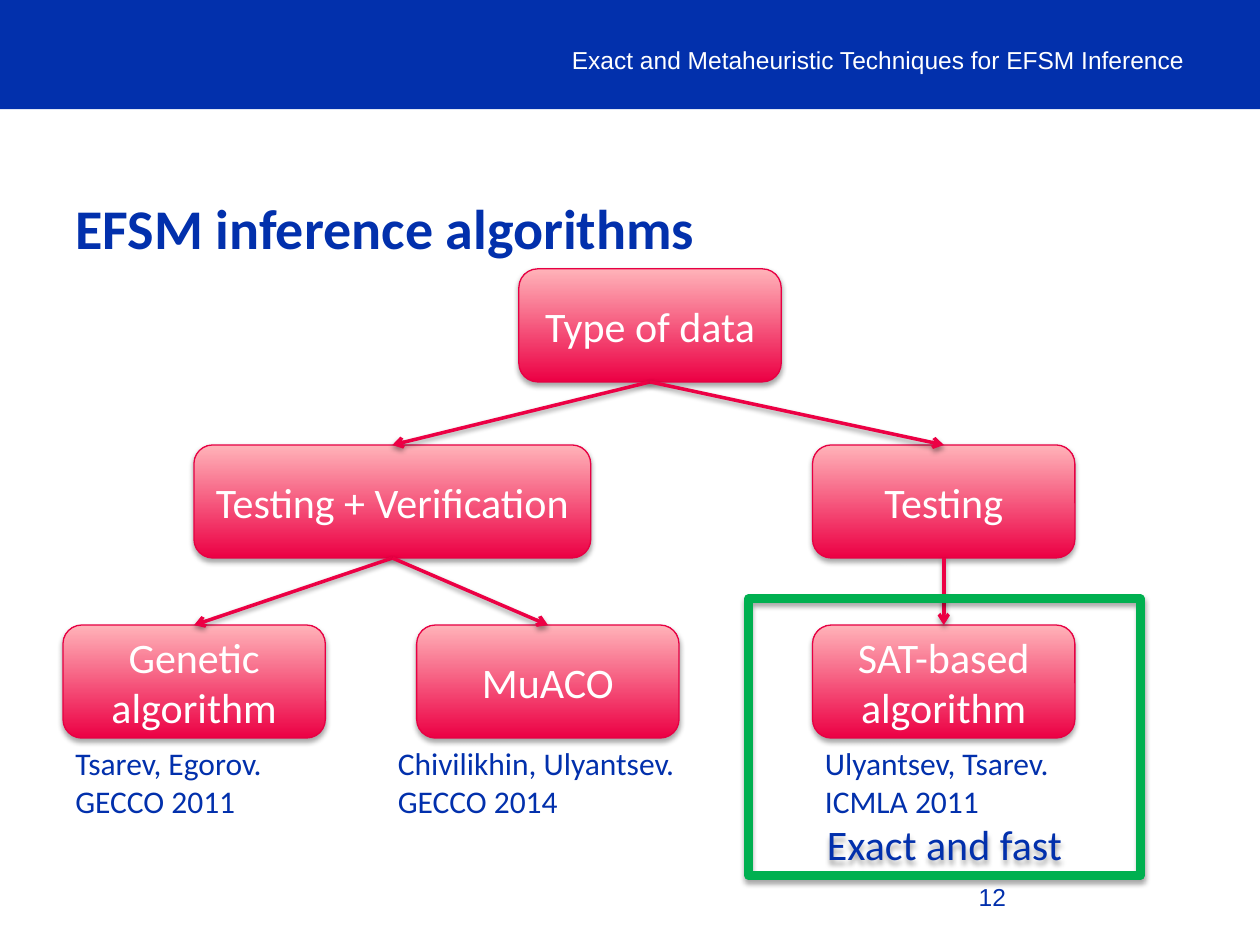
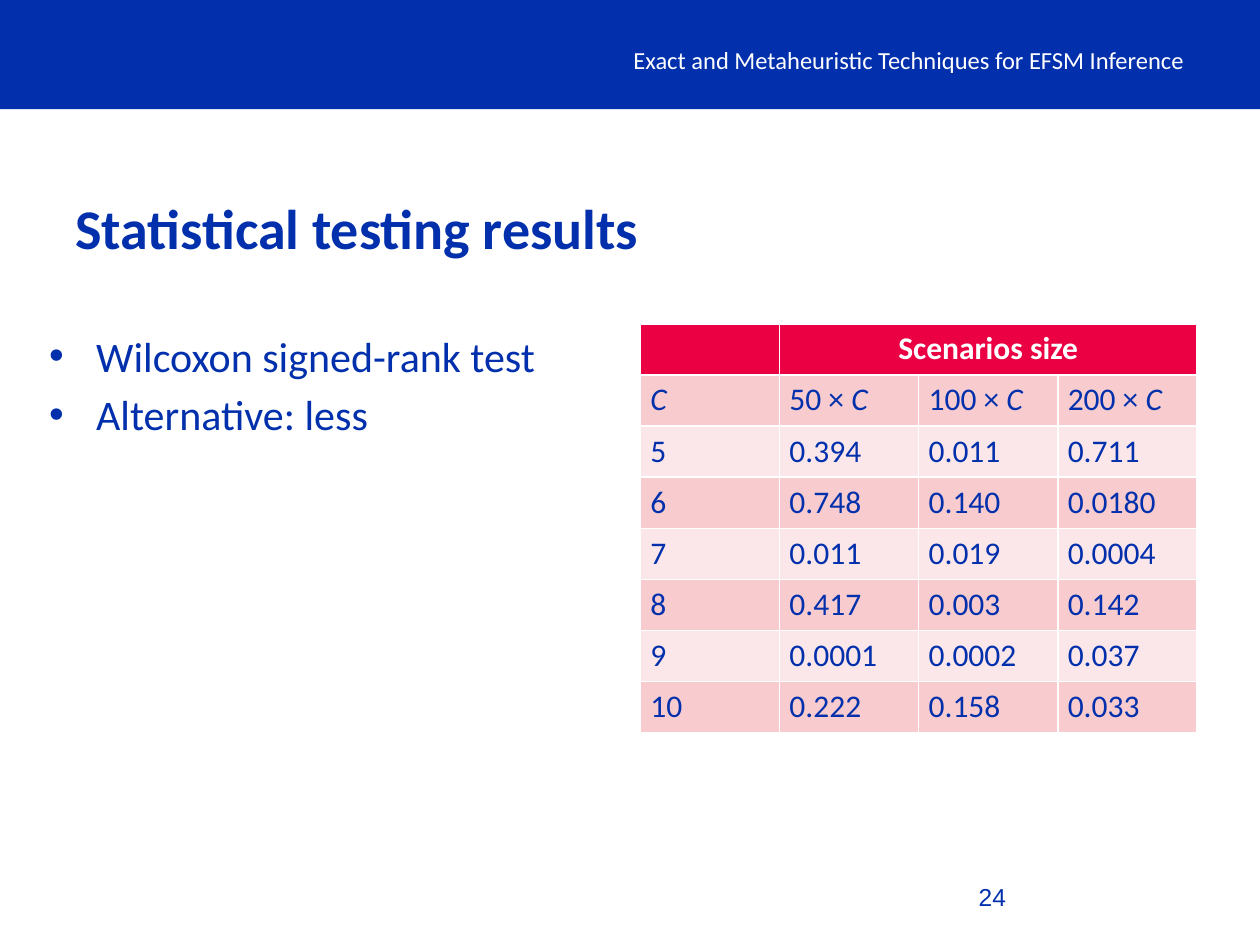
from lxml import etree
from pptx import Presentation
from pptx.dml.color import RGBColor
from pptx.enum.shapes import MSO_CONNECTOR, MSO_SHAPE
from pptx.enum.text import MSO_ANCHOR, PP_ALIGN
from pptx.oxml.ns import qn
from pptx.util import Cm, Pt

BLUE = RGBColor(0x02, 0x30, 0xAC)
WHITE = RGBColor(0xFF, 0xFF, 0xFF)
RED = RGBColor(0xEC, 0x00, 0x44)
RED_EDGE = RGBColor(0xE7, 0x00, 0x43)
PINK = RGBColor(0xFF, 0xB3, 0xB9)
ROW_DARK = RGBColor(0xF8, 0xCC, 0xCF)
ROW_LIGHT = RGBColor(0xFB, 0xE7, 0xE9)
GREEN = RGBColor(0x00, 0xB0, 0x50)

RECTANGLE = MSO_SHAPE.RECTANGLE
ROUNDED = MSO_SHAPE.ROUNDED_RECTANGLE
STRAIGHT = MSO_CONNECTOR.STRAIGHT
TOP, MIDDLE, BOTTOM = MSO_ANCHOR.TOP, MSO_ANCHOR.MIDDLE, MSO_ANCHOR.BOTTOM
LEFT, CENTER, RIGHT = PP_ALIGN.LEFT, PP_ALIGN.CENTER, PP_ALIGN.RIGHT
TOP_SITE, BOTTOM_SITE = 0, 2


def write(shape, text, size, color=BLUE, align=LEFT, anchor=TOP, font="Calibri", bold=False):
    """Put one wrapped, styled paragraph into a shape."""
    frame = shape.text_frame
    frame.word_wrap = True
    frame.vertical_anchor = anchor
    para = frame.paragraphs[0]
    para.text = text
    para.alignment = align
    para.font.name = font
    para.font.size = Pt(size)
    para.font.bold = bold
    para.font.color.rgb = color


def add_shadow(shape, distance, opacity):
    """Give a shape or connector a soft black shadow straight below it."""
    effects = etree.SubElement(shape.element.spPr, qn("a:effectLst"))
    shadow = etree.SubElement(effects, qn("a:outerShdw"), blurRad=str(Pt(3.1)),
                              dist=str(Pt(distance)), dir="5400000", rotWithShape="0")
    color = etree.SubElement(shadow, qn("a:srgbClr"), val="000000")
    etree.SubElement(color, qn("a:alpha"), val=str(opacity * 1000))


deck = Presentation()
deck.slide_width, deck.slide_height = Cm(25.4), Cm(19.05)

# Shared band, running header, title and page number
pages = []
for title, number, header_font in [
    ("EFSM inference algorithms", "12", "Arial"),
    ("Statistical testing results", "24", "Calibri"),
]:
    page = deck.slides.add_slide(deck.slide_layouts[6])
    band = page.shapes.add_shape(RECTANGLE, 0, 0, deck.slide_width, Cm(2.2))
    band.shadow.inherit = False
    band.fill.solid()
    band.fill.fore_color.rgb = BLUE
    band.line.fill.background()
    title_box = page.shapes.add_textbox(Cm(1.27), Cm(3.43), Cm(22.86), Cm(2.29))
    write(title_box, title, 32, anchor=MIDDLE, bold=True)
    header = page.shapes.add_textbox(Cm(11.2), Cm(0.69), Cm(12.93), Cm(1.02))
    write(header, "Exact and Metaheuristic Techniques for EFSM Inference", 14,
          WHITE, RIGHT, MIDDLE, header_font)
    number_box = page.shapes.add_textbox(Cm(19.48), Cm(17.65), Cm(5.92), Cm(1.02))
    write(number_box, number, 14, font="Arial")
    pages.append(page)
tree_page, results_page = pages

# Tree of algorithms: left, top and width in centimetres
tree_boxes = {}
for text, left, top, width in [
    ("Type of data", 10.46, 5.42, 5.29),
    ("Testing + Verification", 3.91, 8.97, 8),
    ("Testing", 16.38, 8.97, 5.29),
    ("Genetic algorithm", 1.27, 12.6, 5.29),
    ("MuACO", 8.4, 12.6, 5.29),
    ("SAT-based algorithm", 16.38, 12.6, 5.29),
]:
    box = tree_page.shapes.add_shape(ROUNDED, Cm(left), Cm(top), Cm(width), Cm(2.28))
    box.fill.gradient()
    box.fill.gradient_angle = 90
    for stop, color in zip(box.fill.gradient_stops, (RED, PINK)):
        stop.color.rgb = color
    box.line.color.rgb = RED_EDGE
    box.line.width = Pt(0.75)
    add_shadow(box, 1.8, 35)
    write(box, text, 24, WHITE, CENTER, MIDDLE)
    tree_boxes[text] = box

for parent, child in [
    ("Type of data", "Testing + Verification"),
    ("Type of data", "Testing"),
    ("Testing + Verification", "Genetic algorithm"),
    ("Testing + Verification", "MuACO"),
    ("Testing", "SAT-based algorithm"),
]:
    arrow = tree_page.shapes.add_connector(STRAIGHT, 0, 0, 0, 0)
    arrow.begin_connect(tree_boxes[parent], BOTTOM_SITE)
    arrow.end_connect(tree_boxes[child], TOP_SITE)
    arrow.line.color.rgb = RED
    arrow.line.width = Pt(2)
    etree.SubElement(arrow.element.spPr.find(qn("a:ln")), qn("a:tailEnd"), type="arrow")
    add_shadow(arrow, 1.6, 38)

for text, left, width in [
    ("Tsarev, Egorov.\vGECCO 2011", 1.27, 5.61),
    ("Chivilikhin, Ulyantsev.\vGECCO 2014", 7.77, 6.53),
    ("Ulyantsev, Tsarev.\vICMLA 2011", 16.38, 6.53),
]:
    citation = tree_page.shapes.add_textbox(Cm(left), Cm(14.88), Cm(width), Cm(1.8))
    write(citation, text, 18)

highlight = tree_page.shapes.add_shape(RECTANGLE, Cm(15.09), Cm(12.07), Cm(7.9), Cm(5.58))
highlight.fill.background()
highlight.line.color.rgb = GREEN
highlight.line.width = Pt(5)
add_shadow(highlight, 1.8, 35)
write(highlight, "Exact and fast", 24, align=CENTER, anchor=BOTTOM)

# Test results
rows = [
    ["", "Scenarios size", "", ""],
    ["C", "50 × C", "100 × C", "200 × C"],
    ["5", "0.394", "0.011", "0.711"],
    ["6", "0.748", "0.140", "0.0180"],
    ["7", "0.011", "0.019", "0.0004"],
    ["8", "0.417", "0.003", "0.142"],
    ["9", "0.0001", "0.0002", "0.037"],
    ["10", "0.222", "0.158", "0.033"],
]
table = results_page.shapes.add_table(len(rows), 4, Cm(12.91), Cm(6.53),
                                      Cm(11.22), Cm(8.24)).table
table.cell(0, 1).merge(table.cell(0, 3))
for row_index, values in enumerate(rows):
    is_header = row_index == 0
    for column_index, value in enumerate(values):
        cell = table.cell(row_index, column_index)
        cell.margin_left = cell.margin_right = Cm(0.2)
        cell.margin_top = cell.margin_bottom = Cm(0.12)
        cell.fill.solid()
        cell.fill.fore_color.rgb = RED if is_header else ROW_DARK if row_index % 2 else ROW_LIGHT
        para = cell.text_frame.paragraphs[0]
        para.alignment = CENTER if is_header else LEFT
        para.font.size = Pt(18)
        before, variable, after = value.partition("C")
        for text in filter(None, (before, variable, after)):
            span = para.add_run()
            span.text = text
            span.font.name = "Calibri"
            span.font.size = Pt(18)
            span.font.bold = is_header
            span.font.italic = text == "C"
            span.font.color.rgb = WHITE if is_header else BLUE

bullets = results_page.shapes.add_textbox(Cm(0.74), Cm(6.53), Cm(11.23), Cm(10.49))
bullets.text_frame.word_wrap = True
for index, text in enumerate(["Wilcoxon signed-rank test", "Alternative: less"]):
    frame = bullets.text_frame
    para = frame.add_paragraph() if index else frame.paragraphs[0]
    para.text = text
    para.space_before = Pt(4.8)
    para.font.name = "Calibri"
    para.font.size = Pt(24)
    para.font.color.rgb = BLUE
    properties = para._p.get_or_add_pPr()
    properties.set("marL", str(Cm(0.95)))
    properties.set("indent", str(-Cm(0.95)))
    bullet_font = etree.Element(qn("a:buFont"), typeface="Arial")
    bullet = etree.Element(qn("a:buChar"), char="•")
    run_defaults = properties.find(qn("a:defRPr"))
    run_defaults.addprevious(bullet_font)
    run_defaults.addprevious(bullet)

deck.save("out.pptx")
